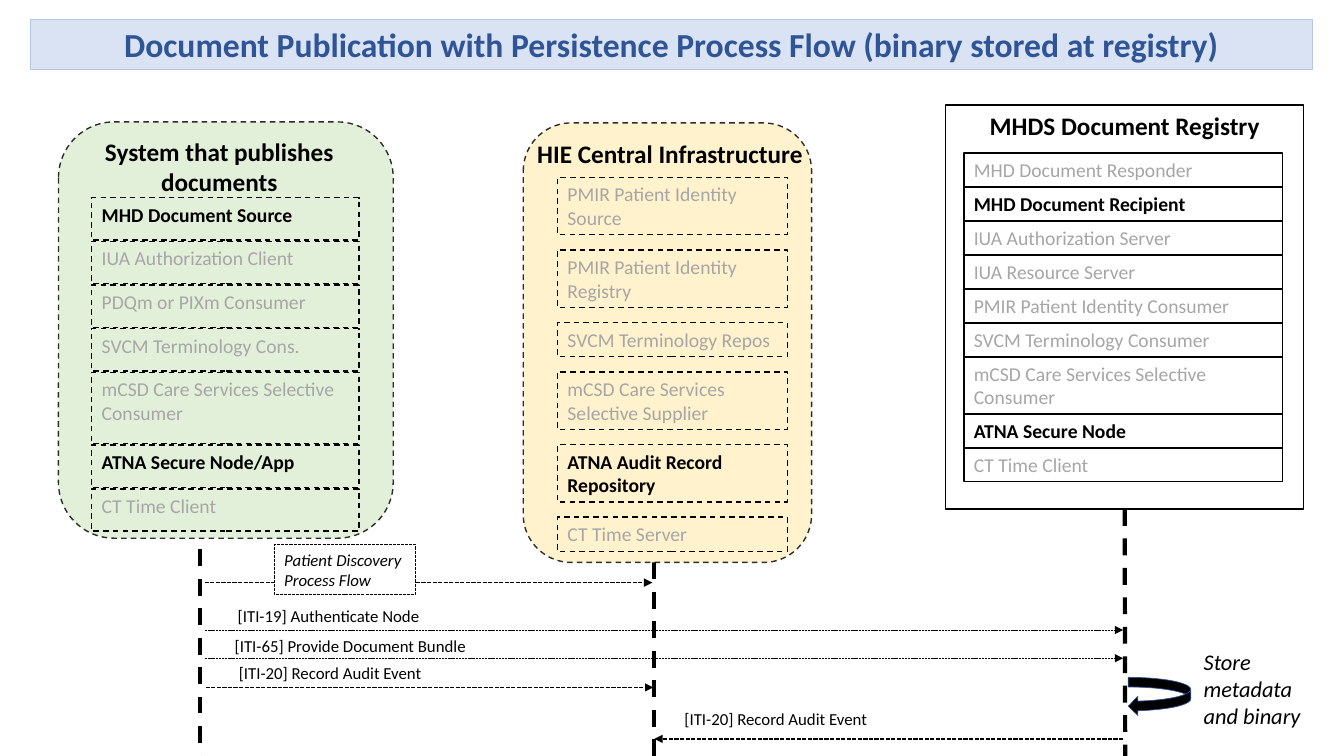
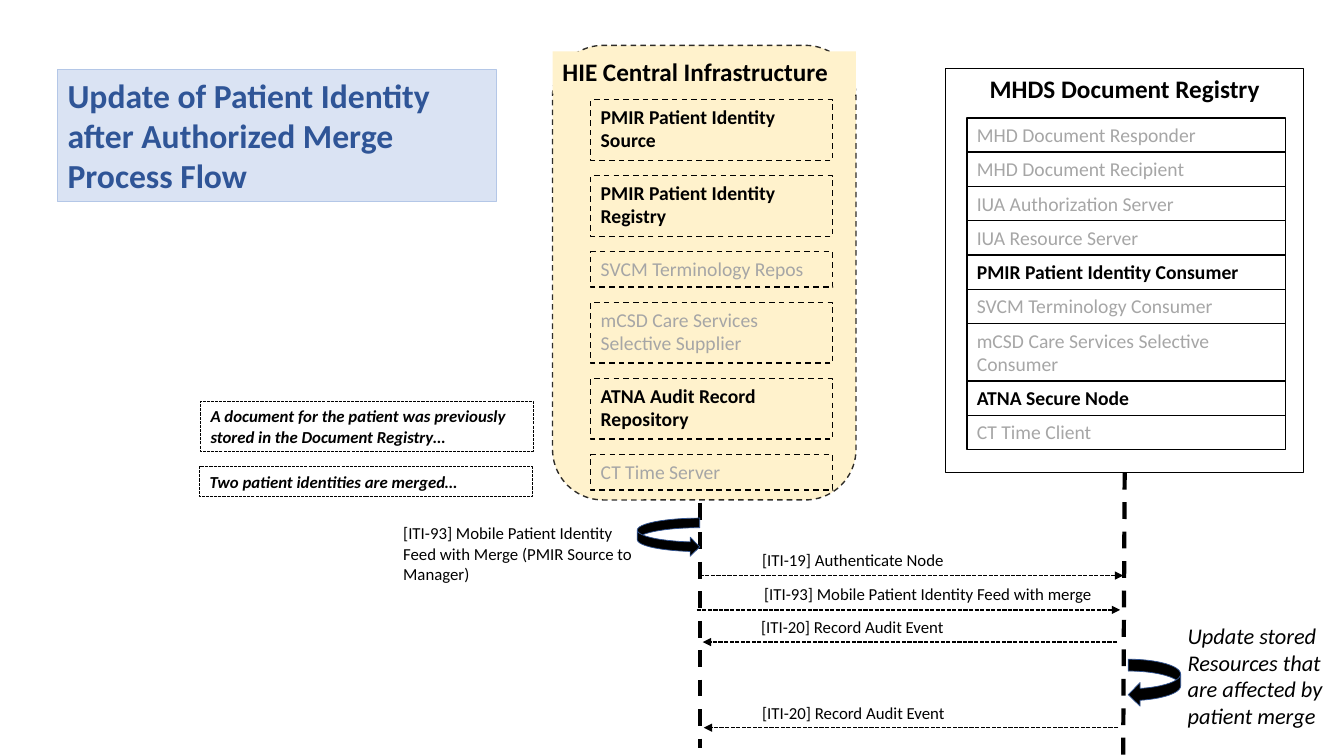
from dataclasses import dataclass
from lxml.etree import SubElement
from pptx import Presentation
from pptx.dml.color import RGBColor
from pptx.enum.dml import MSO_LINE as Dash
from pptx.enum.shapes import MSO_CONNECTOR as Connector, MSO_SHAPE as Preset
from pptx.enum.text import MSO_ANCHOR as Anchor, MSO_AUTO_SIZE as AutoSize, PP_ALIGN as Align
from pptx.oxml.ns import qn
from pptx.util import Inches, Pt


@dataclass(frozen=True)
class Theme:
    font: str = "Calibri"
    ink: str = "000000"
    muted: str = "A6A6A6"
    white: str = "FFFFFF"
    title_ink: str = "2F5597"
    title_fill: str = "DAE3F3"
    title_line: str = "B4C7E7"
    arrow_line: str = "325491"
    publisher: str = "E2F0D9"
    central: str = "FFF2CC"
    title_size: int = 24
    heading_size: int = 18
    aside_size: int = 16
    actor_size: int = 14
    label_size: int = 12


THEME = Theme()
WIDTH, HEIGHT = 13.33, 7.5
REGISTRY_X = 11.16

PUBLISHER_ACTORS = [
    ("MHD Document Source", 1), ("IUA Authorization Client", 1),
    ("PDQm or PIXm Consumer", 1), ("SVCM Terminology Cons.", 1),
    ("mCSD Care Services Selective Consumer", 2),
    ("ATNA Secure Node/App", 1), ("CT Time Client", 1),
]
CENTRAL_ACTORS = [
    ("PMIR Patient Identity Source", 2), ("PMIR Patient Identity Registry", 2),
    ("SVCM Terminology Repos", 1), ("mCSD Care Services Selective Supplier", 2),
    ("ATNA Audit Record Repository", 2), ("CT Time Server", 1),
]
REGISTRY_ACTORS = [
    ("MHD Document Responder", 1), ("MHD Document Recipient", 1),
    ("IUA Authorization Server", 1), ("IUA Resource Server", 1),
    ("PMIR Patient Identity Consumer", 1), ("SVCM Terminology Consumer", 1),
    ("mCSD Care Services Selective Consumer", 2),
    ("ATNA Secure Node", 1), ("CT Time Client", 1),
]

CENTRAL = dict(heading="HIE Central Infrastructure", actors=CENTRAL_ACTORS, fill=THEME.central)
REGISTRY = dict(heading="MHDS Document Registry", actors=REGISTRY_ACTORS, row_heights=(0.34, 0.57))
AUTHENTICATE = "[ITI-19] Authenticate Node"
AUDIT = "[ITI-20] Record Audit Event"

SLIDES = [
    dict(
        title=["Document Publication with Persistence Process Flow (binary stored at registry)"],
        title_at=(0.3, 0.19, 12.72, 0.5), title_align=Align.CENTER,
        active={"MHD Document Source", "ATNA Secure Node/App", "ATNA Audit Record Repository",
                "MHD Document Recipient", "ATNA Secure Node"},
        lifelines=[(1.98, 3.99, 7.5), (6.49, 5.58, 7.5)],
        registry_end=REGISTRY_X,
        panels=[
            dict(heading="System that publishes documents", actors=PUBLISHER_ACTORS,
                 fill=THEME.publisher, at=(0.58, 1.21, 3.32, 4.13),
                 heading_at=(0.4, 1.3, 3.55, 0.82), heading_align=Align.CENTER,
                 stack=(0.91, 1.96, 2.65, 3.31), row_heights=(0.42, 0.71)),
            dict(CENTRAL, at=(5.19, 1.22, 2.86, 4.36), heading_at=(5.23, 1.32, 3.01, 0.4),
                 stack=(5.53, 1.76, 2.28, 3.71), row_heights=(0.34, 0.57)),
            dict(REGISTRY, at=(9.38, 1.04, 3.55, 4.01), stack=(9.56, 1.52, 3.16, 3.26)),
        ],
        messages=[
            (2.03, 6.47, 5.78, 1, None, None),
            (2.03, 11.14, 6.25, 0.5, AUTHENTICATE, (2.26, 5.96)),
            (2.03, 11.14, 6.53, 0.5, "[ITI-65] Provide Document Bundle", (2.23, 6.26)),
            (2.04, 6.48, 6.82, 1, AUDIT, (2.27, 6.53)),
            (11.14, 6.49, 7.33, 1, AUDIT, (6.69, 6.98)),
        ],
        notes=[(["Patient Discovery", "Process Flow"], (2.72, 5.4, 1.4, 0.5), False)],
        texts=[],
        aside=("Store metadata and binary", (11.84, 6.38, 1.44, 0.91)),
        loops=[((11.19, 6.72, 0.62, 0.38), True)],
    ),
    dict(
        title=["Update of Patient Identity after Authorized Merge", "Process Flow"],
        title_at=(0.57, 0.69, 4.35, 1.31), title_align=Align.LEFT,
        active={"PMIR Patient Identity Source", "PMIR Patient Identity Registry",
                "ATNA Audit Record Repository", "PMIR Patient Identity Consumer",
                "ATNA Secure Node"},
        lifelines=[(6.94, 4.99, 7.42)],
        registry_end=11.14,
        panels=[
            dict(CENTRAL, at=(5.48, 0.45, 3.01, 4.51), heading_at=(5.48, 0.51, 3.01, 0.42),
                 heading_fill=THEME.central, stack=(5.86, 0.99, 2.4, 3.87),
                 row_heights=(0.35, 0.6)),
            dict(REGISTRY, at=(9.38, 0.68, 3.55, 4.01), stack=(9.59, 1.17, 3.16, 3.29)),
        ],
        messages=[
            (6.94, 11.14, 5.71, 1, AUTHENTICATE, (7.46, 5.4)),
            (6.91, 11.11, 6.05, 1, "[ITI-93] Mobile Patient Identity Feed with merge", (7.48, 5.74)),
            (11.08, 6.97, 6.37, 1, AUDIT, (7.45, 6.07)),
            (11.09, 6.98, 7.22, 1, AUDIT, (7.46, 6.92)),
        ],
        notes=[
            (["A document for the patient was previously stored in the Document Registry…"],
             (1.99, 3.98, 3.3, 0.5), True),
            (["Two patient identities are merged…"], (1.98, 4.63, 3.3, 0.3), True),
        ],
        texts=[(["[ITI-93] Mobile Patient Identity", "Feed with Merge (PMIR Source to Manager)"],
                (3.9, 5.14, 2.79, 0.71))],
        aside=("Update stored Resources that are affected by patient merge",
               (11.68, 6.12, 1.69, 1.18)),
        loops=[((6.32, 5.14, 0.62, 0.38), False), ((11.19, 6.54, 0.52, 0.47), True)],
    ),
]


def inches(values):
    return [Inches(value) for value in values]


def paint(shape, fill=None, line=None, weight=1, dash=None):
    if fill:
        shape.fill.solid()
        shape.fill.fore_color.rgb = RGBColor.from_string(fill)
    else:
        shape.fill.background()
    if line:
        draw_line(shape.line, line, weight, dash)
    else:
        shape.line.fill.background()


def draw_line(line, color, weight, dash):
    line.color.rgb = RGBColor.from_string(color)
    line.width = Pt(weight)
    if dash:
        line.dash_style = dash


def write(shape, paragraphs, size, color=THEME.ink, bold=False, italic=False, align=Align.LEFT):
    frame = shape.text_frame
    frame.word_wrap = True
    frame.auto_size = AutoSize.NONE
    frame.vertical_anchor = Anchor.TOP
    for index, words in enumerate(paragraphs):
        para = frame.add_paragraph() if index else frame.paragraphs[0]
        para.alignment = align
        span = para.add_run()
        span.text = words
        font = span.font
        font.name, font.size, font.bold, font.italic = THEME.font, Pt(size), bold, italic
        font.color.rgb = RGBColor.from_string(color)


def add_box(page, at, preset=Preset.RECTANGLE, **look):
    box = page.shapes.add_shape(preset, *inches(at))
    box.shadow.inherit = False
    paint(box, **look)
    return box


def add_text(page, at, paragraphs, size, fill=None, **style):
    box = page.shapes.add_textbox(*inches(at))
    paint(box, fill)
    write(box, paragraphs, size, **style)


def add_line(page, start, end, weight, dash, arrow=False):
    line = page.shapes.add_connector(Connector.STRAIGHT, *inches((*start, *end)))
    draw_line(line.line, THEME.ink, weight, dash)
    properties = line.element.spPr
    if arrow:
        SubElement(properties.find(qn("a:ln")), qn("a:tailEnd"), type="triangle")
    SubElement(properties, qn("a:effectLst"))
    return line


def add_title(page, paragraphs, at, align):
    title = page.shapes.title
    title.left, title.top, title.width, title.height = inches(at)
    paint(title, THEME.title_fill, THEME.title_line, 0.75)
    write(title, paragraphs, THEME.title_size, THEME.title_ink, bold=True, align=align)


def add_actors(page, panel, active, dash):
    left, top, width, height = panel["stack"]
    heights = [panel["row_heights"][lines - 1] for _, lines in panel["actors"]]
    gap = (height - sum(heights)) / (len(heights) - 1)
    for (name, _), row in zip(panel["actors"], heights):
        box = add_box(page, (left, top, width, row), line=THEME.ink, dash=dash)
        chosen = name in active
        write(box, [name], THEME.actor_size, THEME.ink if chosen else THEME.muted, bold=chosen)
        top += row + gap


def add_panel(page, panel, active):
    rounded = "heading_at" in panel
    dash = Dash.DASH if rounded else None
    preset = Preset.ROUNDED_RECTANGLE if rounded else Preset.RECTANGLE
    box = add_box(page, panel["at"], preset, fill=panel.get("fill"), line=THEME.ink, dash=dash)
    heading = [panel["heading"]]
    if rounded:
        color = box.element.spPr.find(qn("a:ln")).find(".//" + qn("a:srgbClr"))
        SubElement(color, qn("a:alpha"), val="81000")
        add_text(page, panel["heading_at"], heading, THEME.heading_size,
                 panel.get("heading_fill"), bold=True,
                 align=panel.get("heading_align", Align.LEFT))
    else:
        write(box, heading, THEME.heading_size, bold=True, align=Align.CENTER)
    add_actors(page, panel, active, dash)
    return box


def build_page(deck, content):
    page = deck.slides.add_slide(deck.slide_layouts[5])
    add_title(page, content["title"], content["title_at"], content["title_align"])
    for x, top, bottom in content["lifelines"]:
        add_line(page, (x, top), (x, bottom), 3, Dash.DASH)
    for panel in content["panels"]:
        registry = add_panel(page, panel, content["active"])
    _, top, _, height = content["panels"][-1]["at"]
    lifeline = add_line(page, (REGISTRY_X, top + height), (content["registry_end"], HEIGHT),
                        3, Dash.DASH)
    lifeline.begin_connect(registry, 2)
    for start, end, y, weight, label, label_at in content["messages"]:
        add_line(page, (start, y), (end, y), weight, Dash.SQUARE_DOT, arrow=True)
        if label:
            add_text(page, (*label_at, 3.83, 0.3), [label], THEME.label_size)
    for paragraphs, at, bold in content["notes"]:
        note = add_box(page, at, fill=THEME.white, line=THEME.ink, weight=0.75,
                       dash=Dash.SQUARE_DOT)
        write(note, paragraphs, THEME.label_size, bold=bold, italic=True)
    for paragraphs, at in content["texts"]:
        add_text(page, at, paragraphs, THEME.label_size)
    for at, flipped in content["loops"]:
        loop = add_box(page, at, Preset.CURVED_RIGHT_ARROW, fill=THEME.ink,
                       line=THEME.arrow_line, weight=0.5)
        if flipped:
            loop.element.spPr.find(qn("a:xfrm")).set("flipH", "1")
    words, at = content["aside"]
    add_text(page, at, [words], THEME.aside_size, italic=True)


def main():
    deck = Presentation()
    deck.slide_width, deck.slide_height = inches((WIDTH, HEIGHT))
    for content in SLIDES:
        build_page(deck, content)
    deck.save("out.pptx")


if __name__ == "__main__":
    main()
